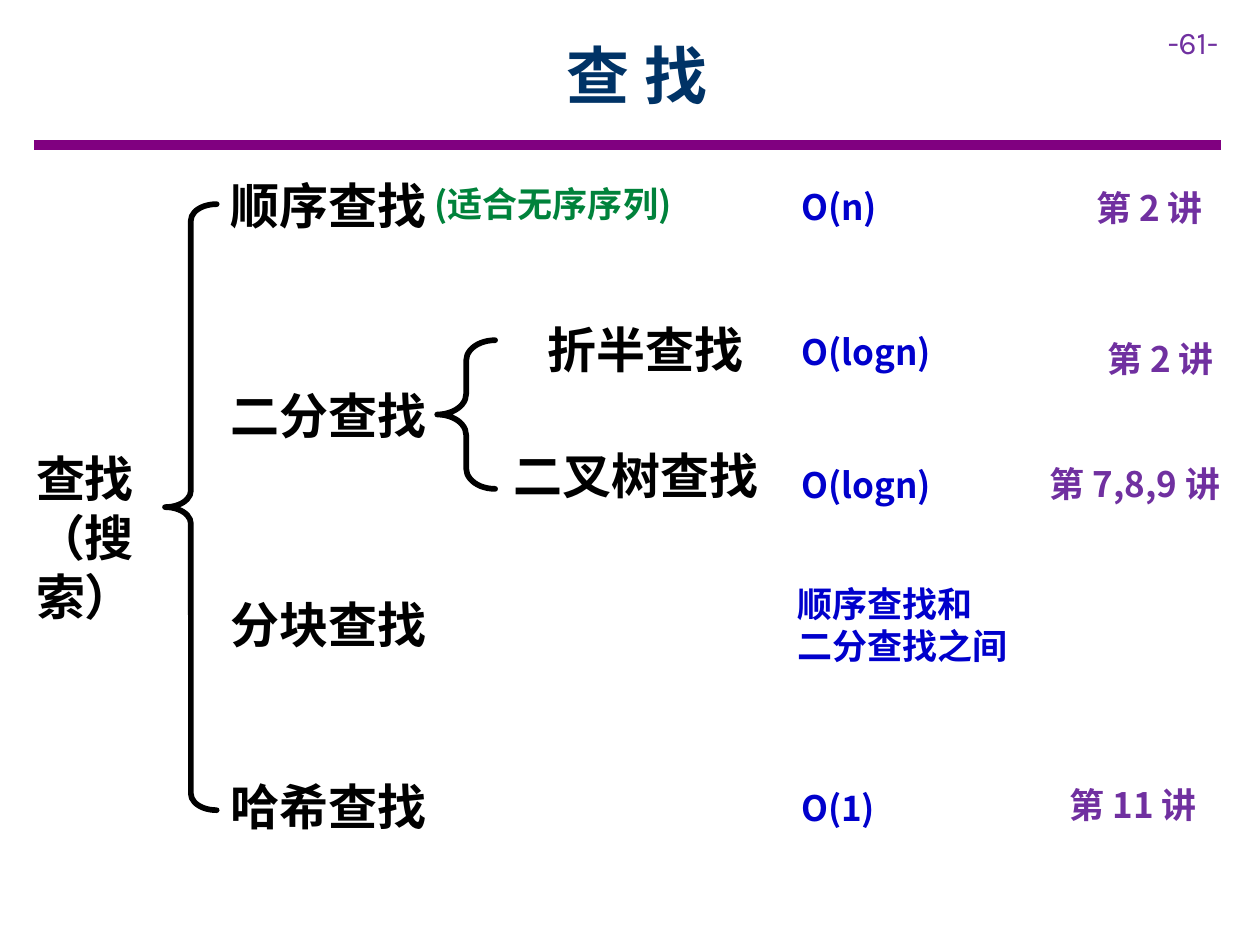
from dataclasses import dataclass

from lxml.etree import SubElement
from pptx import Presentation
from pptx.dml.color import RGBColor
from pptx.enum.shapes import MSO_CONNECTOR, MSO_SHAPE
from pptx.enum.text import MSO_ANCHOR, PP_ALIGN
from pptx.oxml.ns import qn
from pptx.slide import Slide
from pptx.util import Inches, Pt

BLACK = RGBColor(0x00, 0x00, 0x00)
WHITE = RGBColor(0xFF, 0xFF, 0xFF)
NAVY = RGBColor(0x00, 0x33, 0x66)
BLUE = RGBColor(0x00, 0x00, 0xCC)
GREEN = RGBColor(0x00, 0x82, 0x3B)
VIOLET = RGBColor(0x70, 0x30, 0xA0)
PURPLE = RGBColor(0x80, 0x00, 0x80)

METHODS = [
    ("顺序查找", 1.73, 1.34, 1.98),
    ("二分查找", 1.73, 3.01, 2.09),
    ("分块查找", 1.73, 4.67, 2.09),
    ("哈希查找", 1.73, 6.11, 2.52),
    ("折半查找", 4.25, 2.49, 1.87),
    ("二叉树查找", 3.98, 3.49, 2.16),
]
COMPLEXITIES = [
    ("O(n)", 6.26, 1.42, 1.43),
    ("O(logn)", 6.26, 2.57, 1.43),
    ("O(logn)", 6.26, 3.63, 1.43),
    ("顺序查找和\n二分查找之间", 6.23, 4.57, 1.89),
    ("O(1)", 6.26, 6.19, 1.43),
]
LECTURES = [
    ("第 2 讲", 8.6, 1.43, 1.42),
    ("第 2 讲", 8.69, 2.63, 1.1),
    ("第 7,8,9 讲", 8.23, 3.62, 1.65),
    ("第 11 讲", 8.39, 6.17, 1.41),
]


@dataclass
class SlideBuilder:
    slide: Slide
    font_name: str = "Noto Sans CJK SC"
    brace_width: float = 3.25

    def text(self, text, left, top, width, height=0.44, size=20, color=BLACK,
             align=PP_ALIGN.LEFT, anchor=MSO_ANCHOR.TOP, **font_values):
        shape = self.slide.shapes.add_textbox(
            Inches(left), Inches(top), Inches(width), Inches(height))
        frame = shape.text_frame
        frame.word_wrap = True
        frame.vertical_anchor = anchor
        frame.text = text
        values = {"name": self.font_name, "size": Pt(size), "bold": True, **font_values}
        for paragraph in frame.paragraphs:
            paragraph.alignment = align
            for run in paragraph.runs:
                for name, value in values.items():
                    setattr(run.font, name, value)
                run.font.color.rgb = color
                properties = run._r.get_or_add_rPr()
                SubElement(properties, qn("a:ea")).set("typeface", values["name"])

    def brace(self, left, top, width, height, curve):
        shape = self.slide.shapes.add_shape(
            MSO_SHAPE.LEFT_BRACE,
            Inches(left), Inches(top), Inches(width), Inches(height))
        shape.shadow.inherit = False
        shape.adjustments[0] = curve
        shape.adjustments[1] = 0.5
        shape.fill.solid()
        shape.fill.fore_color.rgb = WHITE
        shape.line.color.rgb = BLACK
        shape.line.width = Pt(self.brace_width)
        shape._element.spPr.find(qn("a:ln")).set("cap", "rnd")

    def rule(self, left, right, top, width, color):
        connector = self.slide.shapes.add_connector(
            MSO_CONNECTOR.STRAIGHT,
            Inches(left), Inches(top), Inches(right), Inches(top))
        connector.line.color.rgb = color
        connector.line.width = Pt(width)
        SubElement(connector._element.spPr, qn("a:effectLst"))


def main():
    presentation = Presentation()
    presentation.slide_width = Inches(10)
    presentation.slide_height = Inches(7.5)
    builder = SlideBuilder(presentation.slides.add_slide(presentation.slide_layouts[6]))

    builder.rule(0.27, 9.69, 1.15, 6, PURPLE)
    builder.text("-61-", 9.17, 0.13, 0.83, 0.4, 18, VIOLET, name="Karla", bold=False)
    builder.text("查 找", 0.9, 0.09, 8.31, 1, 36, NAVY,
                 PP_ALIGN.CENTER, MSO_ANCHOR.MIDDLE)
    builder.text("查找\n（搜索）", -0.19, 3.51, 1.73, 1.04, 28, align=PP_ALIGN.CENTER)
    builder.brace(1.31, 1.62, 0.41, 4.81, 0.318)
    builder.brace(3.47, 2.7, 0.46, 1.18, 0.354)

    for label, left, top, width in METHODS:
        builder.text(label, left, top, width, 0.57, 28)
    for labels, color in ((COMPLEXITIES, BLUE), (LECTURES, VIOLET)):
        for label, left, top, width in labels:
            height = 0.77 if "\n" in label else 0.44
            builder.text(label, left, top, width, height, color=color)
    builder.text("(适合无序序列)", 3.35, 1.4, 2.58, color=GREEN)

    presentation.save("out.pptx")


if __name__ == "__main__":
    main()
